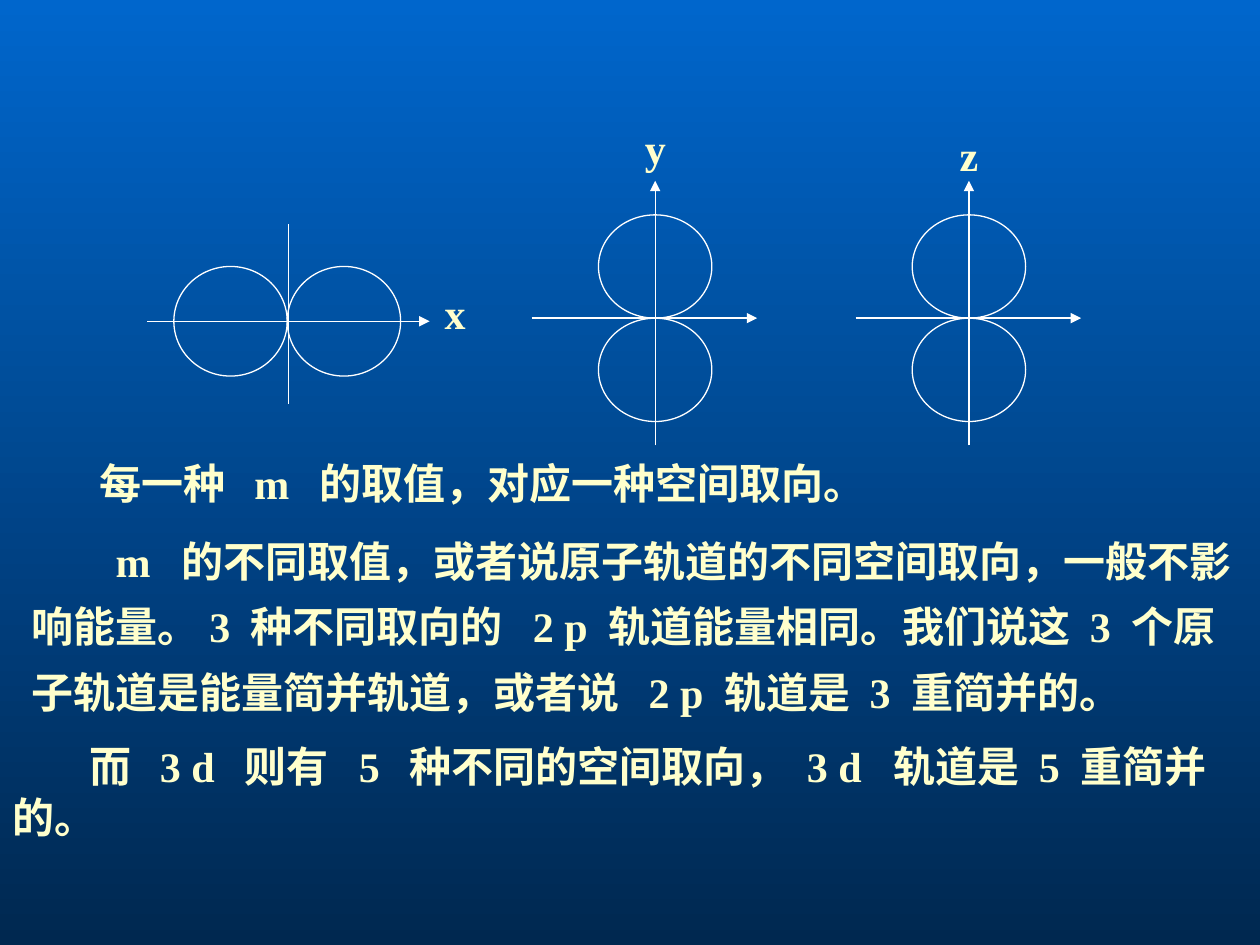
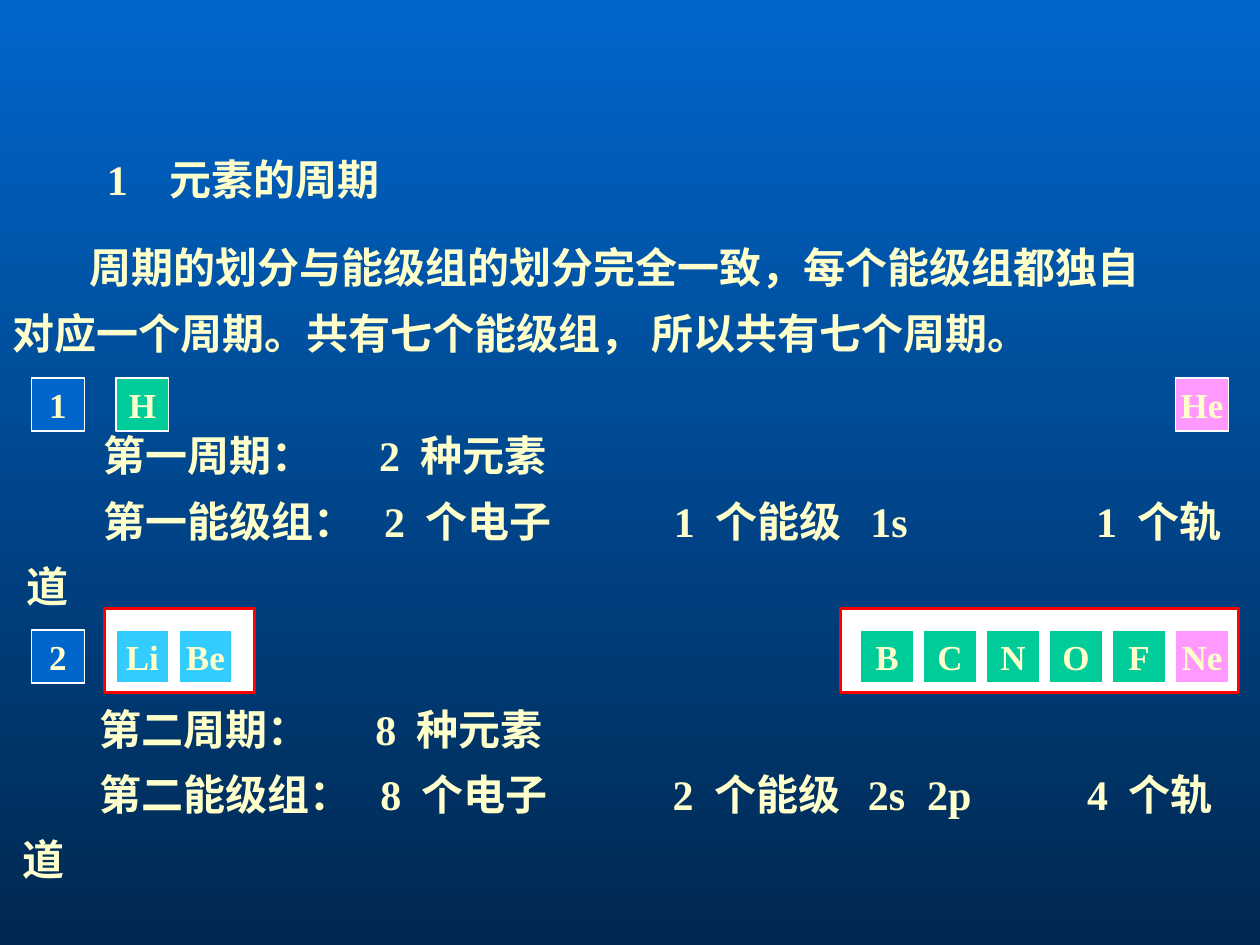
from lxml.etree import SubElement
from pptx import Presentation
from pptx.dml.color import RGBColor
from pptx.enum.shapes import MSO_CONNECTOR as Connector, MSO_SHAPE as Preset
from pptx.enum.text import MSO_ANCHOR as Anchor, MSO_AUTO_SIZE as AutoSize, PP_ALIGN as Align
from pptx.oxml.ns import qn
from pptx.util import Inches, Pt

FONT = "Times New Roman"
CREAM, WHITE, RED = "FFFFCC", "FFFFFF", "FF0000"
BLUE, NAVY = "0066CC", "002850"
GREEN, PINK, CYAN = "00CC99", "FF99FF", "33CCFF"
INDENT = 0.61
CELL, CELL_STEP = 0.42, 0.5
LOBE_LENGTH, LOBE_WIDTH = 0.82, 0.9


def color(value):
    return RGBColor.from_string(value)


def add_slide(presentation):
    slide = presentation.slides.add_slide(presentation.slide_layouts[6])
    fill = slide.background.fill
    fill.gradient()
    fill.gradient_angle = 270
    for stop, value in zip(fill.gradient_stops, (BLUE, NAVY)):
        stop.color.rgb = color(value)
    return slide


def add_run(paragraph, text, size):
    run = paragraph.add_run()
    run.text = text
    run.font.name = FONT
    run.font.size = Pt(size)
    run.font.bold = True
    run.font.color.rgb = color(CREAM)


def set_tabs(paragraph, tabs):
    tab_list = SubElement(paragraph._p.get_or_add_pPr(), qn("a:tabLst"))
    for position in tabs:
        SubElement(tab_list, qn("a:tab"), pos=str(Inches(position)), algn="l")


def add_text(slide, box, lines, spacing=1.0, anchor=Anchor.MIDDLE):
    frame = slide.shapes.add_textbox(*map(Inches, box)).text_frame
    frame.word_wrap = True
    frame.auto_size = AutoSize.SHAPE_TO_FIT_TEXT
    frame.vertical_anchor = anchor
    for index, (text, tabs) in enumerate(lines):
        paragraph = frame.add_paragraph() if index else frame.paragraphs[0]
        paragraph.line_spacing = spacing
        set_tabs(paragraph, tabs)
        add_run(paragraph, text, 24)


def center_label(frame, text, size):
    frame.word_wrap = False
    frame.vertical_anchor = Anchor.MIDDLE
    paragraph = frame.paragraphs[0]
    paragraph.alignment = Align.CENTER
    add_run(paragraph, text, size)


def add_shape(slide, preset, box, fill=None, line=WHITE, width=0.75):
    shape = slide.shapes.add_shape(preset, *map(Inches, box))
    shape.shadow.inherit = False
    if fill:
        shape.fill.solid()
        shape.fill.fore_color.rgb = color(fill)
    else:
        shape.fill.background()
    shape.line.color.rgb = color(line)
    shape.line.width = Pt(width)
    return shape


def add_axis(slide, start, end, arrow=True):
    points = map(Inches, (*start, *end))
    axis = slide.shapes.add_connector(Connector.STRAIGHT, *points)
    axis.line.color.rgb = color(WHITE)
    axis.line.width = Pt(0.75)
    if arrow:
        SubElement(axis.line._get_or_add_ln(), qn("a:tailEnd"), type="triangle")
    SubElement(axis._element.spPr, qn("a:effectLst"))


def add_axis_label(slide, text, center_x, top):
    box = (center_x - 0.18, top, 0.36, 0.5)
    center_label(slide.shapes.add_textbox(*map(Inches, box)).text_frame, text, 24)


def add_horizontal_orbital(slide, x, y):
    for left in (x - LOBE_WIDTH, x):
        add_shape(slide, Preset.OVAL, (left, y - 0.435, LOBE_WIDTH, 0.87))
    add_axis(slide, (x - 1.11, y), (x + 1.13, y))
    add_axis(slide, (x + 0.01, y - 0.77), (x + 0.01, y + 0.66), arrow=False)
    add_axis_label(slide, "x", x + 1.33, y - 0.32)


def add_vertical_orbital(slide, name, x, y, axis_left, label_top):
    for top in (y - LOBE_LENGTH, y):
        add_shape(slide, Preset.OVAL, (x - LOBE_WIDTH / 2, top, LOBE_WIDTH, LOBE_LENGTH))
    add_axis(slide, (x, y + 1.01), (x, y - 1.09))
    add_axis(slide, (axis_left, y), (axis_left + 1.79, y))
    add_axis_label(slide, name, x, label_top)


def add_cells(slide, left, top, names, fill):
    for index, name in enumerate(names):
        box = (left + index * CELL_STEP, top, CELL, CELL)
        cell = add_shape(slide, Preset.RECTANGLE, box, fill)
        center_label(cell.text_frame, name, 20)


def add_period(slide, top, cell_groups, text_box, lines, frames=()):
    for left, width in frames:
        box = (left, top - 0.17, width, 0.67)
        add_shape(slide, Preset.RECTANGLE, box, WHITE, RED, 1.75)
    for left, names, fill in cell_groups:
        add_cells(slide, left, top, names, fill)
    add_text(slide, text_box, lines, 1.3)


def build_orbital_slide(presentation):
    slide = add_slide(presentation)
    add_horizontal_orbital(slide, 2.28, 2.55)
    add_vertical_orbital(slide, "y", 5.2, 2.525, 4.22, 0.92)
    add_vertical_orbital(slide, "z", 7.69, 2.525, 6.79, 0.98)
    add_text(slide, (0.08, 3.58, 9.92, 0.5), [
        ("\t每一种\tm\t的取值，对应一种空间取向。", (INDENT, 1.84, 2.36))])
    add_text(slide, (0.15, 4.08, 9.85, 1.66), [
        ("\tm\t的不同取值，或者说原子轨道的不同空间取向，一般不影响能量。"
         "3 种不同取向的\t2 p 轨道能量相同。我们说这 3 个原子轨道是能量简并轨道，"
         "或者说\t2 p 轨道是 3 重简并的。", (0.67, 1.19, 3.98, 4.9))], 1.3)
    add_text(slide, (0, 5.83, 9.92, 0.9), [
        ("\t而\t3 d\t则有\t5\t种不同的空间取向， 3 d\t轨道是 5 重简并的。",
         (INDENT, 1.17, 1.84, 2.75, 3.15, 6.99))], anchor=Anchor.TOP)


def build_period_slide(presentation):
    slide = add_slide(presentation)
    add_text(slide, (0.75, 1.17, 4.08, 0.5), [("1\t元素的周期", (0.5,))])
    add_text(slide, (0, 1.75, 9.92, 1.14), [
        ("\t周期的划分与能级组的划分完全一致，每个能级组都独自", (INDENT,)),
        ("对应一个周期。共有七个能级组， 所以共有七个周期。", ())], 1.3)
    add_period(
        slide, 3,
        [(0.25, ["1"], BLUE), (0.92, ["H"], GREEN), (9.33, ["He"], PINK)],
        (0.11, 3.24, 9.89, 1.66),
        [("\t第一周期：\t2 种元素", (INDENT, 2.8)),
         ("\t第一能级组：\t2 个电子\t1 个能级\t1s\t1 个轨道",
          (INDENT, 2.84, 5.14, 6.7, 8.49))])
    add_period(
        slide, 5,
        [(0.25, ["2"], BLUE), (0.92, ["Li", "Be"], CYAN),
         (6.83, ["B", "C", "N", "O", "F"], GREEN), (9.33, ["Ne"], PINK)],
        (0.08, 5.41, 9.92, 1.66),
        [("\t第二周期：\t8 种元素", (INDENT, 2.8)),
         ("\t第二能级组：\t8 个电子\t2 个能级\t2s\t2p\t4 个轨道",
          (INDENT, 2.84, 5.16, 6.71, 7.18, 8.45))],
        frames=[(0.83, 1.19), (6.67, 3.16)])


def main():
    presentation = Presentation()
    presentation.slide_width = Inches(10)
    presentation.slide_height = Inches(7.5)
    build_orbital_slide(presentation)
    build_period_slide(presentation)
    presentation.save("out.pptx")


if __name__ == "__main__":
    main()
